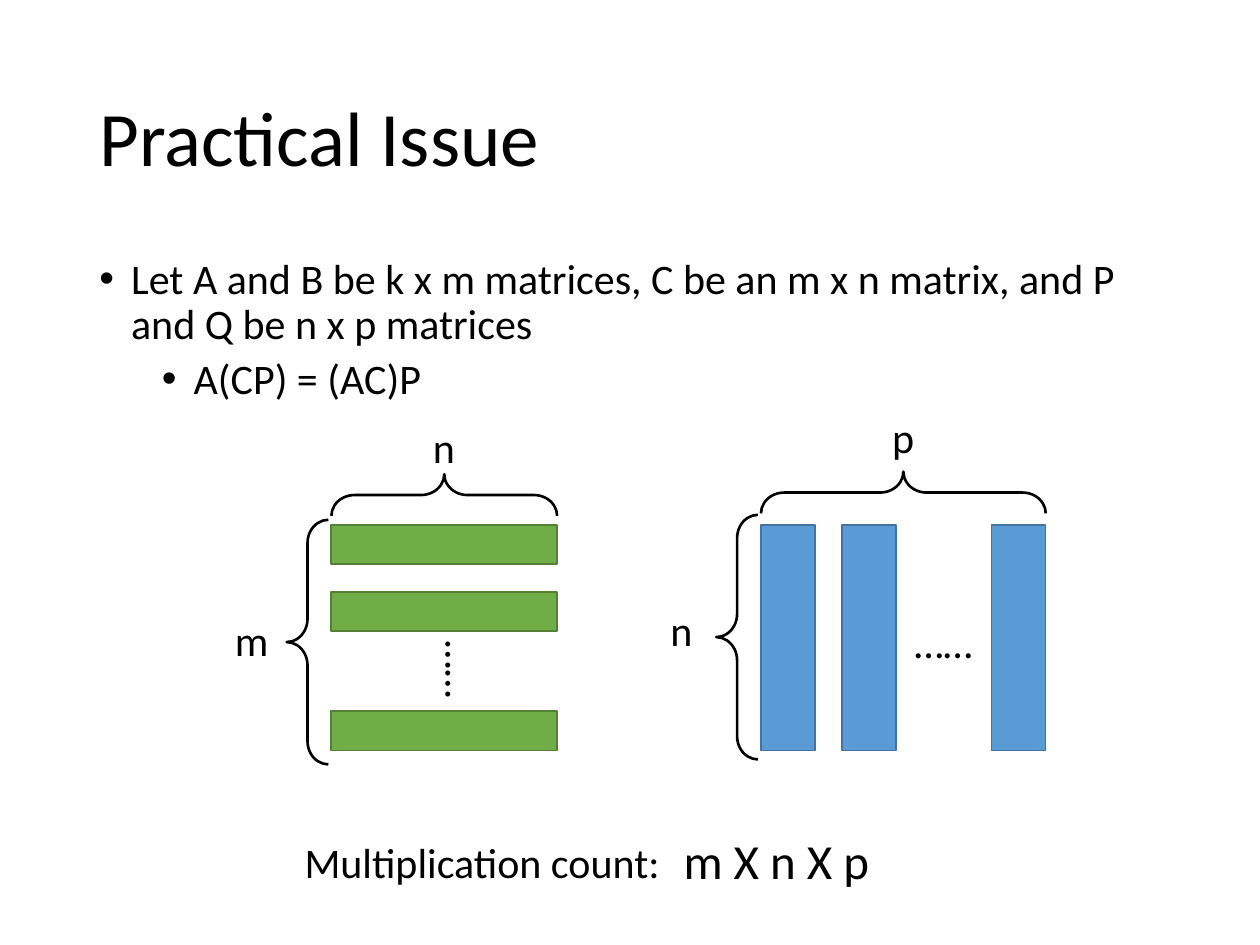
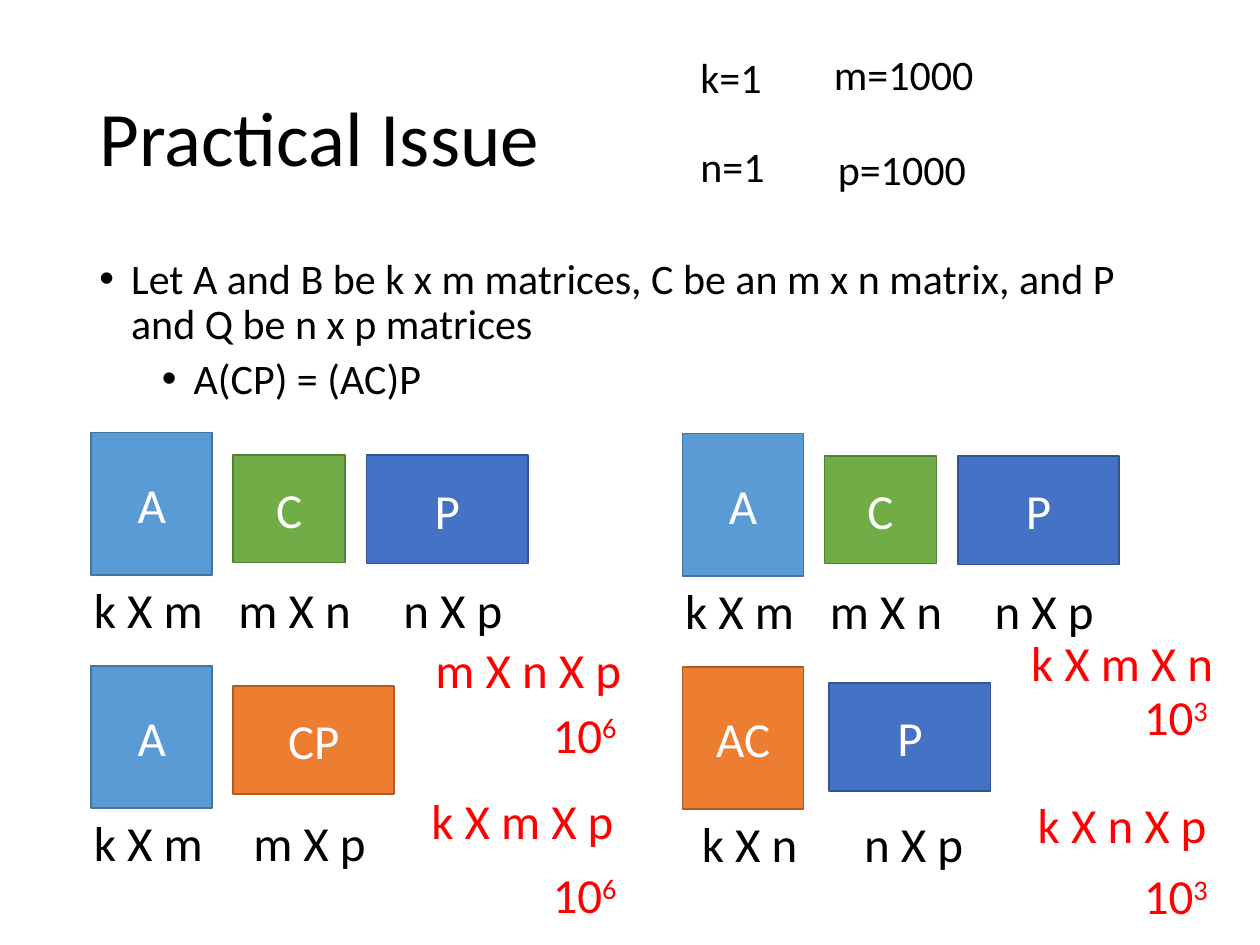
import pptx
import pptx.util
import pptx.dml.color
import pptx.enum.shapes
import pptx.enum.text
import pptx.oxml
import pptx.oxml.ns
from lxml import etree

Cm = pptx.util.Cm
Pt = pptx.util.Pt
RGBColor = pptx.dml.color.RGBColor
MSO_SHAPE = pptx.enum.shapes.MSO_SHAPE
PP_ALIGN = pptx.enum.text.PP_ALIGN
MSO_ANCHOR = pptx.enum.text.MSO_ANCHOR
MSO_AUTO_SIZE = pptx.enum.text.MSO_AUTO_SIZE

FONT = "Calibri"
BLACK = RGBColor(0x00, 0x00, 0x00)
WHITE = RGBColor(0xFF, 0xFF, 0xFF)
RED = RGBColor(0xFF, 0x00, 0x00)
SKY = (RGBColor(0x5B, 0x9B, 0xD5), RGBColor(0x43, 0x73, 0x9E))
GREEN = (RGBColor(0x70, 0xAD, 0x47), RGBColor(0x53, 0x80, 0x35))
BLUE = (RGBColor(0x44, 0x72, 0xC4), RGBColor(0x32, 0x54, 0x91))
ORANGE = (RGBColor(0xED, 0x7D, 0x31), RGBColor(0xAF, 0x5C, 0x24))

TITLE = "Practical Issue"
BULLETS = [
    ("Let A and B be k x m matrices, C be an m x n matrix, and P and Q be n x p matrices", 0.64, 10),
    ("A(CP) = (AC)P", 1.9, 5),
]
HANG = 0.64

MATRICES = {
    "A": (2.44, 2.87, SKY),
    "C": (2.26, 2.16, GREEN),
    "P": (3.25, 2.18, BLUE),
    "CP": (3.25, 2.18, ORANGE),
    "AC": (2.44, 2.87, ORANGE),
}
LABEL_W = 3.6
POWER_W = 2.67

BAR = 0.79
COLUMN_W = 1.09
SIDE = 4.55
BRACE = 0.84


def box(x, y, w, h):
    return Cm(x), Cm(y), Cm(w), Cm(h)


def style(p, size, color, align=PP_ALIGN.CENTER):
    p.alignment = align
    p.font.name = FONT
    p.font.size = Pt(size)
    p.font.color.rgb = color


def add_text(slide, text, x, y, w, size=24, color=BLACK, align=PP_ALIGN.CENTER, power=None):
    sp = slide.shapes.add_textbox(*box(x, y, w, 1.27 if size == 24 else 1.45))
    tf = sp.text_frame
    tf.word_wrap = True
    p = tf.paragraphs[0]
    p.add_run().text = text
    if power:
        r = p.add_run()
        r.text = power
        r.font._element.set("baseline", "30000")
    style(p, size, color, align)
    return sp


def add_block(slide, x, y, w, h, colors, shape=MSO_SHAPE.RECTANGLE):
    sp = slide.shapes.add_shape(shape, *box(x, y, w, h))
    sp.shadow.inherit = False
    sp.fill.solid()
    sp.fill.fore_color.rgb, sp.line.color.rgb = colors
    sp.line.width = Pt(1)
    return sp


def add_brace(slide, x, y, length, rotation=0):
    sp = slide.shapes.add_shape(MSO_SHAPE.LEFT_BRACE, *box(x, y, BRACE, length))
    sp.rotation = rotation
    sp.adjustments[0] = 0.558
    sp.shadow.inherit = False
    sp.fill.background()
    sp.line.color.rgb = BLACK
    sp.line.width = Pt(1.5)


def add_issue_slide(prs):
    slide = prs.slides.add_slide(prs.slide_layouts[1])
    title, body = slide.placeholders
    title.left, title.top, title.width, title.height = box(1.75, 1.02, 21.9, 3.68)
    body.left, body.top, body.width, body.height = box(1.75, 5.08, 21.9, 12.09)
    for sp in (title, body):
        sp.text_frame.word_wrap = True
        sp.text_frame.auto_size = MSO_AUTO_SIZE.NONE

    title.text_frame.text = TITLE
    title.text_frame.vertical_anchor = MSO_ANCHOR.MIDDLE
    p = title.text_frame.paragraphs[0]
    style(p, 44, BLACK, PP_ALIGN.LEFT)
    p.line_spacing = 0.9

    tf = body.text_frame
    tf.text = "\n".join(text for text, _, _ in BULLETS)
    for level, (p, (_, margin, before)) in enumerate(zip(tf.paragraphs, BULLETS)):
        p.level = level
        style(p, 24, BLACK, PP_ALIGN.LEFT)
        p.line_spacing = 0.9
        p.space_before = Pt(before)
        pPr = p._p.get_or_add_pPr()
        pPr.set("marL", str(Cm(margin)))
        pPr.set("indent", str(-Cm(HANG)))
        font = etree.Element(pptx.oxml.ns.qn("a:buFont"), typeface="Arial")
        bullet = etree.Element(pptx.oxml.ns.qn("a:buChar"), char="•")
        pPr.find(pptx.oxml.ns.qn("a:defRPr")).addprevious(font)
        font.addnext(bullet)
    return slide


def add_dimensions(slide, x, y, w, rows, cols, lift=0):
    add_brace(slide, x - 0.9, y - 0.1 - lift, 4.93)
    add_brace(slide, x + (w - BRACE) / 2, y - 0.6 - (w + lift) / 2, w, 90)
    add_text(slide, rows, x - 2.85, y + 1.68 - 2 * lift, 2.49)
    add_text(slide, cols, x + w / 2 - 1.25, y - 2.21 - 2 * lift, 2.49)


def add_row_matrix(slide, x, y):
    for offset in (0, 1.35, SIDE - BAR):
        add_block(slide, x, y + offset, SIDE, BAR, GREEN)
    add_text(slide, "……", x + 1.75, y + 2.29, 1.78).rotation = 90
    add_dimensions(slide, x, y, SIDE, "m", "n")


def add_column_matrix(slide, x, y):
    for offset in (0, 1.63, 4.65):
        add_block(slide, x + offset, y, COLUMN_W, SIDE, SKY)
    add_text(slide, "……", x + 2.79, y + 1.73, 1.78)
    add_dimensions(slide, x, y, 5.74, "n", "p", 0.1)


def add_order_panel(slide, x, y, matrices, labels, costs):
    for name, dx, dy in matrices:
        w, h, colors = MATRICES[name]
        sp = add_block(slide, x + dx, y + dy, w, h, colors, MSO_SHAPE.FLOWCHART_PROCESS)
        sp.text_frame.text = name
        sp.text_frame.vertical_anchor = MSO_ANCHOR.MIDDLE
        style(sp.text_frame.paragraphs[0], 28, WHITE)
    for text, center, dy in labels:
        add_text(slide, text, x + center - LABEL_W / 2, y + dy, LABEL_W, 28)
    for text, dx, dy, power, power_dy in costs:
        add_text(slide, text, x + dx, y + dy, 5.16, 28, RED)
        add_text(slide, "10", x + 9.26, y + power_dy, POWER_W, 28, RED, power=power)


def add_sizes(slide, x, y):
    for text, dx, dy in (("k=1", 0, 0.05), ("m=1000", 2.69, 0),
                         ("n=1", 0, 1.85), ("p=1000", 2.77, 1.91)):
        add_text(slide, text, x + dx, y + dy, 4, align=PP_ALIGN.LEFT)


def build_count_slide(prs):
    slide = add_issue_slide(prs)
    add_row_matrix(slide, 6.68, 10.58)
    add_column_matrix(slide, 15.34, 10.58)
    add_text(slide, "m X n X p", 12.45, 16.61, 6.4, 28)
    add_text(slide, "Multiplication count:", 5.89, 16.74, 8.15, align=PP_ALIGN.LEFT)


def build_order_slide(prs):
    slide = add_issue_slide(prs)
    add_sizes(slide, 13.87, 0.86)
    factors = [("A", 0.65, 0), ("C", 3.51, 0.46), ("P", 6.2, 0.46)]
    factor_labels = [("k X m", 1.8, 2.84), ("m X n", 4.75, 2.84), ("n X p", 7.94, 2.84)]
    add_order_panel(
        slide, 1.19, 8.72,
        factors + [("A", 0.65, 4.7), ("CP", 3.51, 5.11)],
        factor_labels + [("k X m", 1.8, 7.54), ("m X p", 5.05, 7.54)],
        [("m X n X p", 6.88, 4.04, "6", 5.36), ("k X m X p", 6.76, 7.09, "6", 8.59)])
    add_order_panel(
        slide, 13.11, 8.74,
        factors + [("AC", 0.65, 4.7), ("P", 3.61, 5.03)],
        factor_labels + [("k X n", 2, 7.54), ("n X p", 5.31, 7.54)],
        [("k X m X n", 6.93, 3.89, "3", 4.98), ("k X n X p", 6.93, 7.16, "3", 8.59)])


def main():
    prs = pptx.Presentation()
    prs.slide_width, prs.slide_height = Cm(25.4), Cm(19.05)
    build_count_slide(prs)
    build_order_slide(prs)
    prs.save("out.pptx")


if __name__ == "__main__":
    main()
